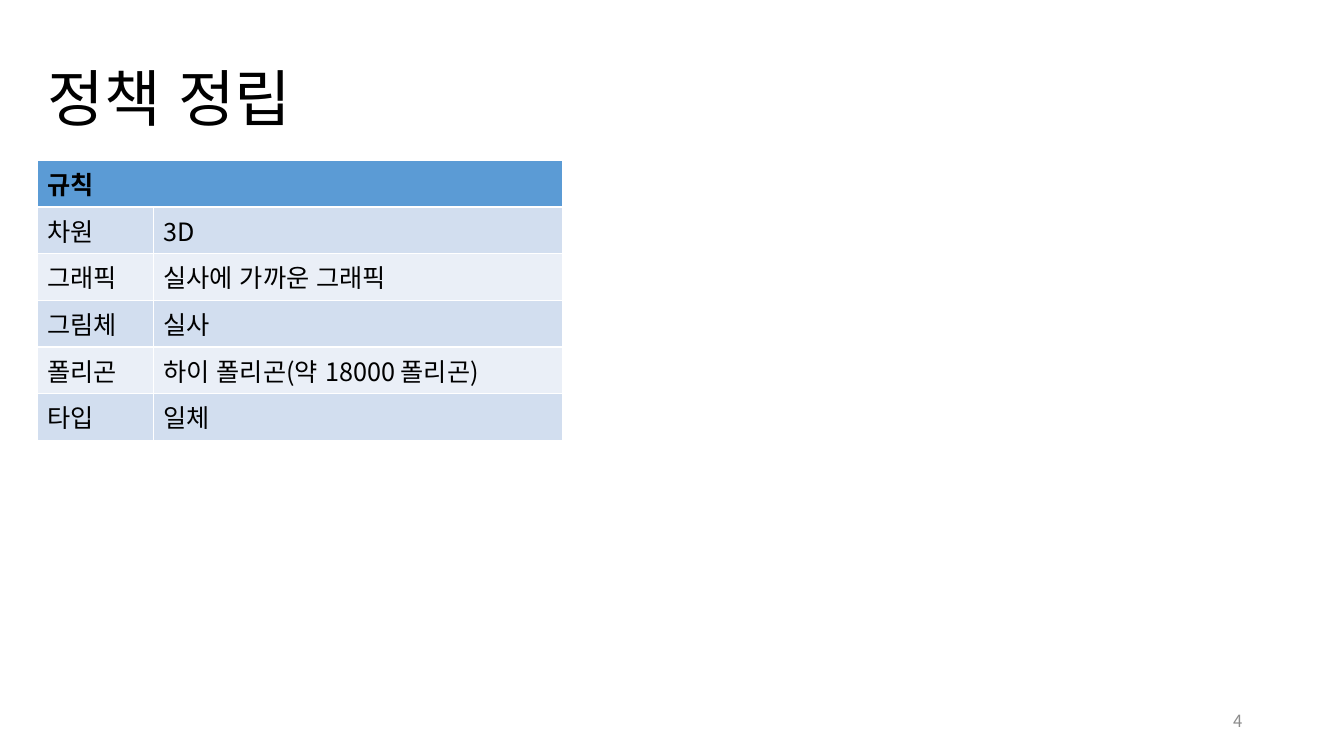
from lxml import etree
from pptx import Presentation
from pptx import util as u
from pptx.dml.color import RGBColor
from pptx.enum import lang, text
from pptx.oxml.ns import qn

PX = 9144
FONT = "Noto Sans CJK KR"
BLACK = RGBColor(0x00, 0x00, 0x00)
GRAY = RGBColor(0x8C, 0x8C, 0x8C)
WHITE = RGBColor(0xFF, 0xFF, 0xFF)
HEADER = RGBColor(0x5B, 0x9B, 0xD5)
BANDS = [RGBColor(0xEA, 0xEF, 0xF7), RGBColor(0xD2, 0xDE, 0xEF)]


def add_run(p, words, size, color, bold=False):
    r = p.add_run()
    r.text = words
    r.font.size = u.Pt(size)
    r.font.bold = bold
    r.font.language_id = lang.MSO_LANGUAGE_ID.KOREAN
    r.font.color.rgb = color
    r.font.name = FONT
    ea = etree.Element(qn("a:ea"), typeface=FONT)
    r.font._element.find(qn("a:latin")).addnext(ea)


def add_border(cell, side):
    props = cell._tc.get_or_add_tcPr()
    ln = etree.SubElement(props, qn("a:" + side), w=str(u.Pt(1)))
    fill = etree.SubElement(ln, qn("a:solidFill"))
    etree.SubElement(fill, qn("a:srgbClr"), val=str(WHITE))


prs = Presentation()
prs.slide_width, prs.slide_height = 1333 * PX, 750 * PX
s = prs.slides.add_slide(prs.slide_layouts[5])
s.background.fill.solid()
s.background.fill.fore_color.rgb = WHITE

title = s.shapes.title
title.left, title.top, title.width, title.height = 37 * PX, 42 * PX, 1260 * PX, 117 * PX
tf = title.text_frame
tf.vertical_anchor = text.MSO_ANCHOR.MIDDLE
p = tf.paragraphs[0]
p.alignment = text.PP_ALIGN.LEFT
p.line_spacing = 0.9
add_run(p, "정책 정립", 44, BLACK)

number = s.shapes.add_textbox(942 * PX, 695 * PX, 300 * PX, 40 * PX)
tf = number.text_frame
tf.word_wrap = True
tf.vertical_anchor = text.MSO_ANCHOR.MIDDLE
p = tf.paragraphs[0]
p.alignment = text.PP_ALIGN.RIGHT
add_run(p, "4", 12, GRAY)

rules = [
    ("규칙", ""),
    ("차원", "3D"),
    ("그래픽", "실사에 가까운 그래픽"),
    ("그림체", "실사"),
    ("폴리곤", "하이 폴리곤(약 18000 폴리곤)"),
    ("타입", "일체"),
]
table = s.shapes.add_table(len(rules), 2, 37 * PX, 159 * PX, 521 * PX, 278 * PX).table
table.columns[0].width = 115 * PX
table.columns[1].width = 406 * PX
table.cell(0, 0).merge(table.cell(0, 1))

for i, rule in enumerate(rules):
    for j, words in enumerate(rule):
        cell = table.cell(i, j)
        for side in ("lnL", "lnR", "lnT", "lnB"):
            add_border(cell, side)
        cell.fill.solid()
        cell.fill.fore_color.rgb = BANDS[i % 2] if i else HEADER
        if words:
            add_run(cell.text_frame.paragraphs[0], words, 18, BLACK, i == 0)

prs.save("out.pptx")
